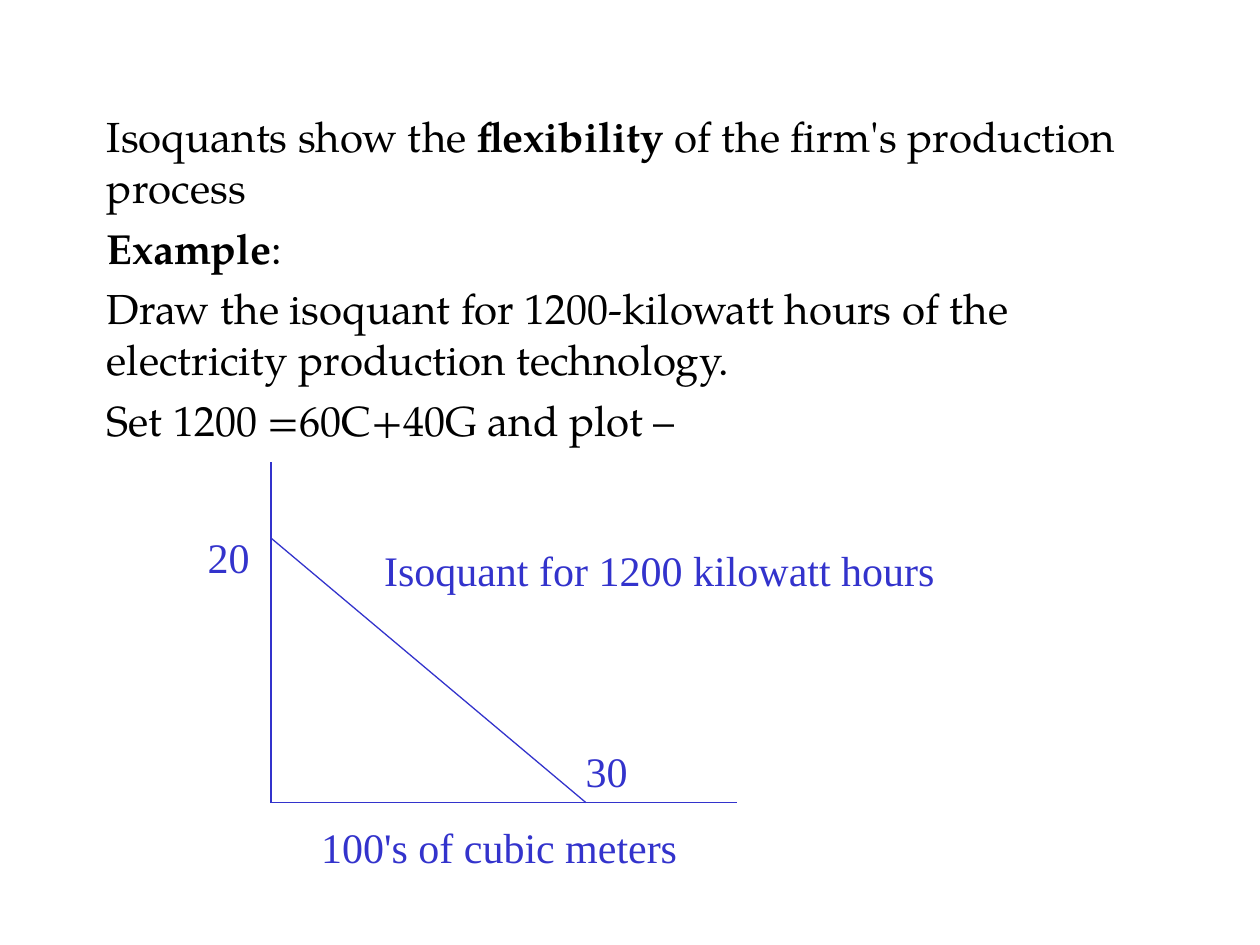
from lxml.etree import SubElement
from pptx import Presentation
from pptx.dml.color import RGBColor
from pptx.enum.shapes import MSO_CONNECTOR as Connector
from pptx.oxml.ns import qn
from pptx.util import Inches, Pt

WIDTH, HEIGHT = 10, 7.5
BLACK, BLUE = "000000", "3333CC"

# Content: paragraphs are lists of (text, bold) runs
BODY = [
    [("Isoquants show the ", False), ("flexibility", True),
     (" of the firm's production process", False)],
    [("Example", True), (":", False)],
    [("Draw the isoquant for 1200-kilowatt hours of the electricity "
      "production technology.", False)],
    [("Set 1200 =60C+40G and plot –", False)],
]
BODY_BOX = (0.75, 0.83, 8.5, 6.17)
BODY_FORMAT = {"name": "TeX Gyre Pagella", "size": Pt(24)}
LABEL_FORMAT = {"name": "Times New Roman", "size": Pt(24)}

# Graph: origin, axis lengths and intercepts, in inches
ORIGIN_X, ORIGIN_Y = 2.15, 6.37
AXIS_X, AXIS_Y = 3.7, 2.7
INTERCEPT_X, INTERCEPT_Y = 2.5, 2.1
GRAPH_LINES = [  # offsets right of and above the origin
    ((0, AXIS_Y), (0, 0)),
    ((0, 0), (AXIS_X, 0)),
    ((0, INTERCEPT_Y), (INTERCEPT_X, 0)),
]
LABELS = [  # text, offset right of and above the origin, width, height
    ("100's of cubic meters", 0.3, -0.1, 4.4, 0.6),
    ("30", INTERCEPT_X - 0.1, 0.5, 1.6, 0.6),
    ("20", -0.6, INTERCEPT_Y + 0.1, 1.3, 0.8),
    ("Isoquant for 1200 kilowatt hours", 0.8, INTERCEPT_Y, 4.8, 0.7),
]


def color(value):
    return RGBColor.from_string(value)


def graph_point(right, up):
    return ORIGIN_X + right, ORIGIN_Y - up


def add_text(slide, box, paragraphs, font_format, text_color, space_before=0):
    frame = slide.shapes.add_textbox(*map(Inches, box)).text_frame
    frame.word_wrap = True
    for index, runs in enumerate(paragraphs):
        paragraph = frame.add_paragraph() if index else frame.paragraphs[0]
        paragraph.space_before = Pt(space_before if index else 0)
        for text, bold in runs:
            run = paragraph.add_run()
            run.text = text
            for key, value in {**font_format, "bold": bold}.items():
                setattr(run.font, key, value)
            run.font.color.rgb = color(text_color)


def add_line(slide, start, end):
    points = map(Inches, graph_point(*start) + graph_point(*end))
    line = slide.shapes.add_connector(Connector.STRAIGHT, *points)
    line.line.color.rgb = color(BLUE)
    line.line.width = Pt(0.75)
    SubElement(line._element.spPr, qn("a:effectLst"))


def main():
    presentation = Presentation()
    presentation.slide_width = Inches(WIDTH)
    presentation.slide_height = Inches(HEIGHT)
    slide = presentation.slides.add_slide(presentation.slide_layouts[6])

    # Explanation
    add_text(slide, BODY_BOX, BODY, BODY_FORMAT, BLACK, space_before=6)

    # Axes and isoquant
    for start, end in GRAPH_LINES:
        add_line(slide, start, end)

    # Graph labels
    for text, right, up, width, height in LABELS:
        box = (*graph_point(right, up), width, height)
        add_text(slide, box, [[(text, False)]], LABEL_FORMAT, BLUE)

    presentation.save("out.pptx")


if __name__ == "__main__":
    main()
